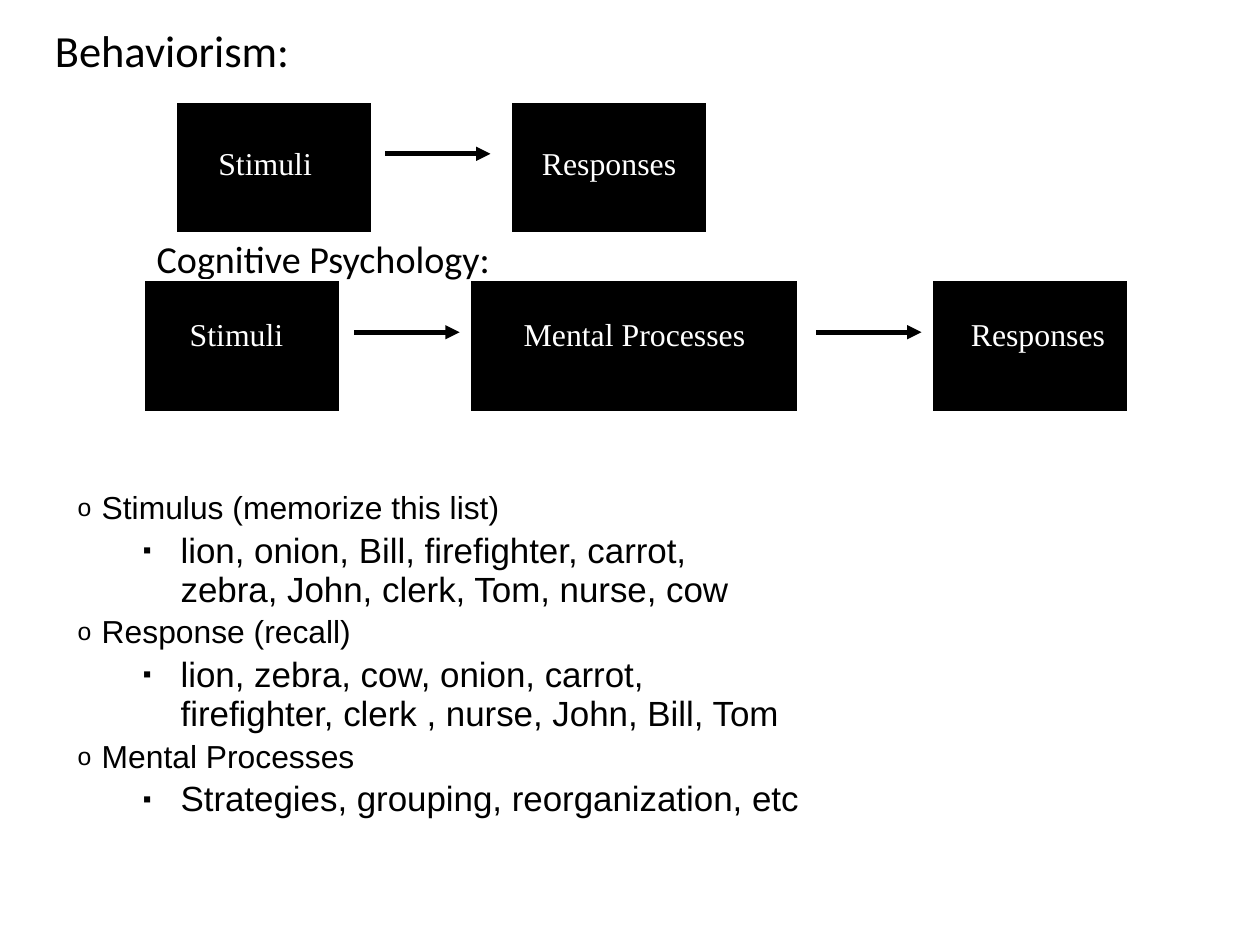
from lxml import etree
from pptx import Presentation, util as u
from pptx.dml.color import RGBColor
from pptx.enum import shapes, text
from pptx.oxml.ns import qn

BLACK = RGBColor(0, 0, 0)
WHITE = RGBColor(255, 255, 255)
LINE_SPACING = 0.94

deck = Presentation()
deck.slide_width, deck.slide_height = u.Inches(11.02), u.Inches(8.27)
slide = deck.slides.add_slide(deck.slide_layouts[6])

# Grid of 100 columns by 100 rows
COL, ROW = deck.slide_width / 100, deck.slide_height / 100
BOX_HEIGHT, ARROW_LENGTH, ARROW_DROP = 13.91, 8.35, 5.5


def add_frame(left, top, width, height):
    frame = slide.shapes.add_textbox(
        int(left * COL), int(top * ROW), int(width * COL), int(height * ROW)).text_frame
    frame.word_wrap = True
    frame.margin_left = frame.margin_right = int(COL)
    frame.margin_top = frame.margin_bottom = int(0.73 * ROW)
    return frame


def add_text(paragraph, words, font, size, color):
    paragraph.line_spacing = LINE_SPACING
    paragraph.alignment = text.PP_ALIGN.LEFT
    for number, line in enumerate(words.split("\n")):
        if number:
            paragraph.add_line_break()
        run = paragraph.add_run()
        run.text = line
        run.font.name, run.font.size = font, u.Pt(size)
        run.font.color.rgb = color


# Headings
for heading, left, top, size in [("Behaviorism:", 3.36, 2.18, 28),
                                 ("Cognitive Psychology:", 11.43, 24.55, 24)]:
    frame = add_frame(left, top, 50, 6.5)
    add_text(frame.paragraphs[0], heading, "Calibri", size, BLACK)

# Memory example: topics with their details
example = [
    ("Stimulus (memorize this list)",
     "lion, onion, Bill, firefighter, carrot,\nzebra, John, clerk, Tom, nurse, cow"),
    ("Response (recall)",
     "lion, zebra, cow, onion, carrot,\nfirefighter, clerk , nurse, John, Bill, Tom"),
    ("Mental Processes", "Strategies, grouping, reorganization, etc"),
]
# level, text size, bullet, bullet size in percent, margin and hanging indent in columns
TOPIC = (1, 20, "o", 78, 3.72, 1.91)
DETAIL = (2, 22, "▪", 70, 9.98, 2.99)

frame = add_frame(3.36, 51.15, 96.64, 39.9)
paragraph = frame.paragraphs[0]
for entry in example:
    for words, style in zip(entry, (TOPIC, DETAIL)):
        level, size, bullet, percent, margin, hanging = style
        if paragraph.runs:
            paragraph = frame.add_paragraph()
        add_text(paragraph, words, "Arial", size, BLACK)
        paragraph.level = level
        paragraph.space_before = u.Pt(3.1)
        props = paragraph._p.get_or_add_pPr()
        props.set("marL", str(int(margin * COL)))
        props.set("indent", str(int(-hanging * COL)))
        bullet_color = etree.SubElement(props, qn("a:buClr"))
        etree.SubElement(bullet_color, qn("a:srgbClr"), val=str(BLACK))
        etree.SubElement(props, qn("a:buSzPct"), val=str(percent * 1000))
        etree.SubElement(props, qn("a:buFont"), typeface="Arial")
        etree.SubElement(props, qn("a:buChar"), char=bullet)

# Models: top, label offset, boxes (label, left, width, label indent), arrow starts
models = [
    (10.76, 4.72,
     [("Stimuli", 13.97, 15.61, 3.36), ("Responses", 40.56, 15.61, 2.45)],
     [30.58]),
    (29.62, 3.99,
     [("Stimuli", 11.43, 15.61, 3.63), ("Mental Processes", 37.3, 26.04, 4.26),
      ("Responses", 73.96, 15.61, 3.09)],
     [28.13, 64.79]),
]
for top, label_offset, boxes, arrow_starts in models:
    for label, left, width, label_indent in boxes:
        box = slide.shapes.add_shape(
            shapes.MSO_SHAPE.RECTANGLE, int(left * COL), int(top * ROW),
            int(width * COL), int(BOX_HEIGHT * ROW))
        box.shadow.inherit = False
        box.fill.solid()
        box.fill.fore_color.rgb = BLACK
        box.line.color.rgb = WHITE
        box.line.width = u.Pt(1.5)
        frame = box.text_frame
        frame.word_wrap = True
        frame.vertical_anchor = text.MSO_ANCHOR.TOP
        frame.margin_left, frame.margin_right = int(label_indent * COL), 0
        frame.margin_top, frame.margin_bottom = int(label_offset * ROW), 0
        add_text(frame.paragraphs[0], label, "Times New Roman", 20, WHITE)

    arrow_y = int((top + ARROW_DROP) * ROW)
    for start in arrow_starts:
        arrow = slide.shapes.add_connector(
            shapes.MSO_CONNECTOR.STRAIGHT, int(start * COL), arrow_y,
            int((start + ARROW_LENGTH) * COL), arrow_y)
        arrow.line.color.rgb = BLACK
        arrow.line.width = u.Pt(3)
        etree.SubElement(arrow.line._get_or_add_ln(), qn("a:tailEnd"), type="triangle")
        etree.SubElement(arrow._element.spPr, qn("a:effectLst"))

deck.save("out.pptx")
